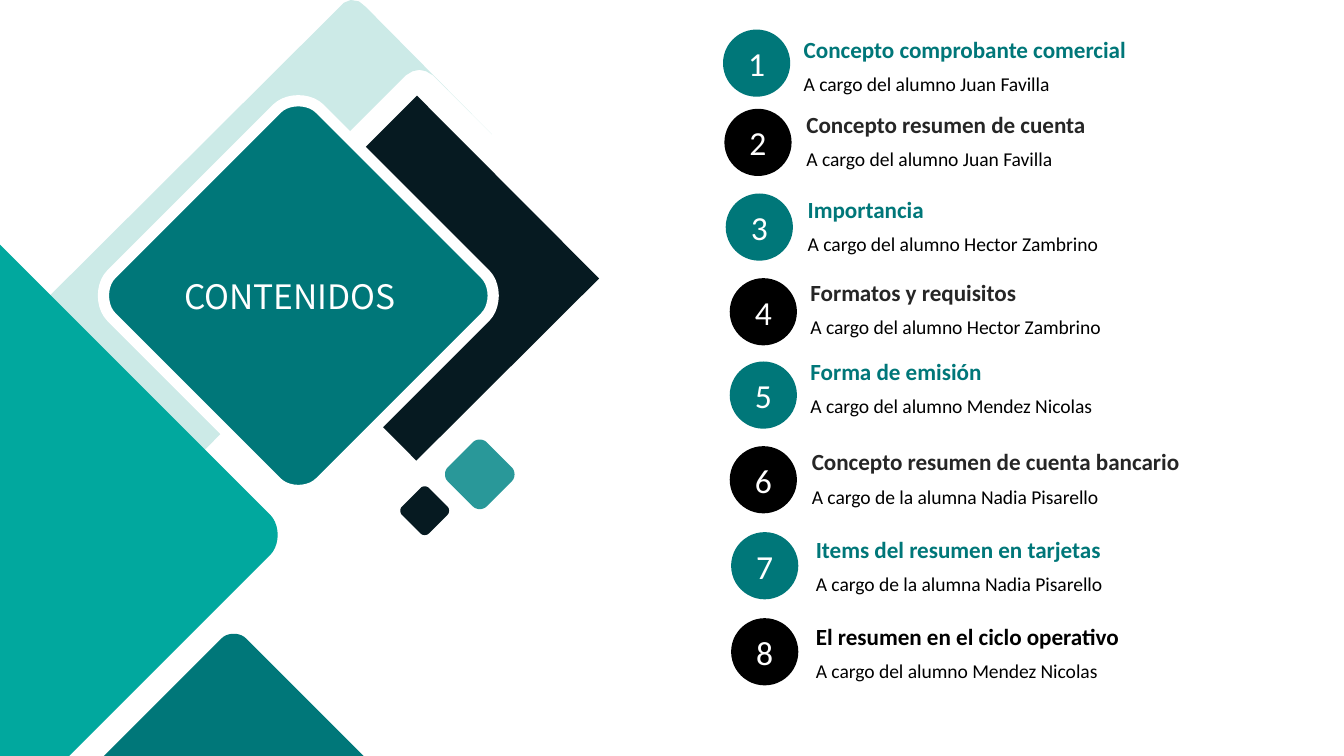
from typing import NamedTuple

from pptx import Presentation
from pptx.dml.color import RGBColor
from pptx.enum.shapes import MSO_SHAPE
from pptx.enum.text import MSO_ANCHOR, MSO_AUTO_SIZE, PP_ALIGN
from pptx.util import Emu, Pt

PX = 9144  # EMU per px, 100 px to the inch

GREEN = RGBColor(0x00, 0x77, 0x79)
TURQUOISE = RGBColor(0x01, 0xA8, 0x9E)
SEA = RGBColor(0x29, 0x98, 0x99)
PALE = RGBColor(0xCC, 0xEA, 0xE7)
NAVY = RGBColor(0x06, 0x1A, 0x21)
GRAY = RGBColor(0x26, 0x26, 0x26)
BLACK = RGBColor(0, 0, 0)
WHITE = RGBColor(0xFF, 0xFF, 0xFF)

BADGE = 50
TEXT_WIDTH = 288
CURVE_STEPS = 10


class Diamond(NamedTuple):
    cx: int
    cy: int
    reach: int  # centre to the unrounded tip
    cut: int  # how far each tip is cut back
    color: RGBColor


class Topic(NamedTuple):
    badge_x: int
    badge_y: int
    text_x: int
    text_y: int
    heading: str
    speaker: str
    color: RGBColor


BACK_DIAMONDS = [
    Diamond(-21, 398, 237, 15, TURQUOISE),
    Diamond(174, 606, 140, 9, GREEN),
    Diamond(316, 380, 20, 3, NAVY),
    Diamond(357, 353, 29, 5, SEA),
]
TITLE_DIAMOND = Diamond(222, 220, 155, 16, GREEN)

PALE_FRAME = [
    (261, 0), (256, 2), (37, 220), (152, 335), (168, 319), (84, 235),
    (78, 220), (84, 204), (206, 81), (222, 75), (238, 81), (257, 101),
    (302, 56), (307, 53), (312, 52), (317, 53), (322, 56), (366, 100),
    (272, 5), (267, 1),
]

TOPICS = [
    Topic(538, 22, 598, 28, "Concepto comprobante comercial",
          "A cargo del alumno Juan Favilla", GREEN),
    Topic(539, 81, 600, 84, "Concepto resumen de cuenta",
          "A cargo del alumno Juan Favilla", GRAY),
    Topic(540, 144, 601, 147, "Importancia",
          "A cargo del alumno Hector Zambrino", GREEN),
    Topic(543, 207, 603, 209, "Formatos y requisitos",
          "A cargo del alumno Hector Zambrino", GRAY),
    Topic(543, 269, 603, 268, "Forma de emisión",
          "A cargo del alumno Mendez Nicolas", GREEN),
    Topic(543, 332, 604, 335, "Concepto resumen de cuenta bancario",
          "A cargo de la alumna Nadia Pisarello", GRAY),
    Topic(544, 396, 607, 400, "Items del resumen en tarjetas",
          "A cargo de la alumna Nadia Pisarello", GREEN),
    Topic(544, 460, 607, 465, "El resumen en el ciclo operativo",
          "A cargo del alumno Mendez Nicolas", BLACK),
]


def px(*lengths: float) -> list[Emu]:
    return [Emu(round(n * PX)) for n in lengths]


def paint(sp, color: RGBColor) -> None:
    sp.shadow.inherit = False
    sp.fill.solid()
    sp.fill.fore_color.rgb = color
    sp.line.fill.background()


def set_text(sp, text: str, size: float, color: RGBColor, font: str = "Calibri"):
    tf = sp.text_frame
    tf.text = text
    p = tf.paragraphs[0]
    p.font.size, p.font.name, p.font.color.rgb = Pt(size), font, color
    return p


def frame_text(sp, wrap: bool, anchor: MSO_ANCHOR) -> None:
    tf = sp.text_frame
    tf.margin_left = tf.margin_top = tf.margin_right = tf.margin_bottom = 0
    tf.auto_size = MSO_AUTO_SIZE.NONE
    tf.word_wrap = wrap
    tf.vertical_anchor = anchor


def draw_outline(s, points: list[tuple[float, float]], color: RGBColor):
    corners = [tuple(px(*point)) for point in points]
    builder = s.shapes.build_freeform(*corners[0], scale=1.0)
    builder.add_line_segments(corners[1:], close=True)
    sp = builder.convert_to_shape()
    paint(sp, color)
    return sp


def draw_diamond(s, d: Diamond):
    # Cubic curve across the top tip, with handles along the 45° sides
    side, handle = d.reach - d.cut, d.cut / 2
    tip = []
    for i in range(CURVE_STEPS + 1):
        t = i / CURVE_STEPS
        bulge = 3 * t * (1 - t)
        x = d.cut * (t**3 - (1 - t)**3) + (d.cut - handle) * bulge * (2 * t - 1)
        tip.append((x, -side - handle * bulge))
    # Quarter turns give the other three tips
    points = []
    for _ in range(4):
        points += [(d.cx + x, d.cy + y) for x, y in tip]
        tip = [(-y, x) for x, y in tip]
    return draw_outline(s, points, d.color)


def draw_topic(s, number: int, topic: Topic) -> None:
    heading = s.shapes.add_textbox(*px(topic.text_x, topic.text_y, TEXT_WIDTH, 17))
    frame_text(heading, False, MSO_ANCHOR.MIDDLE)
    set_text(heading, topic.heading, 12.4, topic.color).font.bold = True

    speaker = s.shapes.add_textbox(*px(topic.text_x, topic.text_y + 22, TEXT_WIDTH, 25))
    frame_text(speaker, True, MSO_ANCHOR.TOP)
    set_text(speaker, topic.speaker, 10.5, BLACK).line_spacing = 1.2

    badge = s.shapes.add_shape(
        MSO_SHAPE.OVAL, *px(topic.badge_x, topic.badge_y, BADGE, BADGE))
    paint(badge, GREEN if number % 2 else BLACK)
    badge.text_frame.vertical_anchor = MSO_ANCHOR.MIDDLE
    set_text(badge, str(number), 18, WHITE).alignment = PP_ALIGN.CENTER


def main() -> None:
    # Widescreen slide, 16:9
    prs = Presentation()
    prs.slide_width = Emu(1000 * PX)
    prs.slide_height = Emu(prs.slide_width * 9 // 16)
    s = prs.slides.add_slide(prs.slide_layouts[5])

    # Diamond artwork, from back to front
    square = s.shapes.add_shape(MSO_SHAPE.RECTANGLE, *px(214, 111, 192, 192))
    square.rotation = 45.1
    paint(square, NAVY)
    draw_outline(s, PALE_FRAME, PALE)
    for diamond in BACK_DIAMONDS:
        draw_diamond(s, diamond)
    sp = draw_diamond(s, TITLE_DIAMOND)
    sp.line.color.rgb = WHITE
    sp.line.width = Pt(6)

    # Title, raised above the artwork
    title = s.shapes.title
    title.left, title.top, title.width, title.height = px(137, 205, 158, 62)
    frame_text(title, False, MSO_ANCHOR.TOP)
    p = set_text(title, "CONTENIDOS", 18, WHITE, "Noto Sans CJK SC")
    p.alignment = PP_ALIGN.LEFT
    title.element.getparent().append(title.element)

    # Numbered topics
    for number, topic in enumerate(TOPICS, 1):
        draw_topic(s, number, topic)

    prs.save("out.pptx")


if __name__ == "__main__":
    main()
